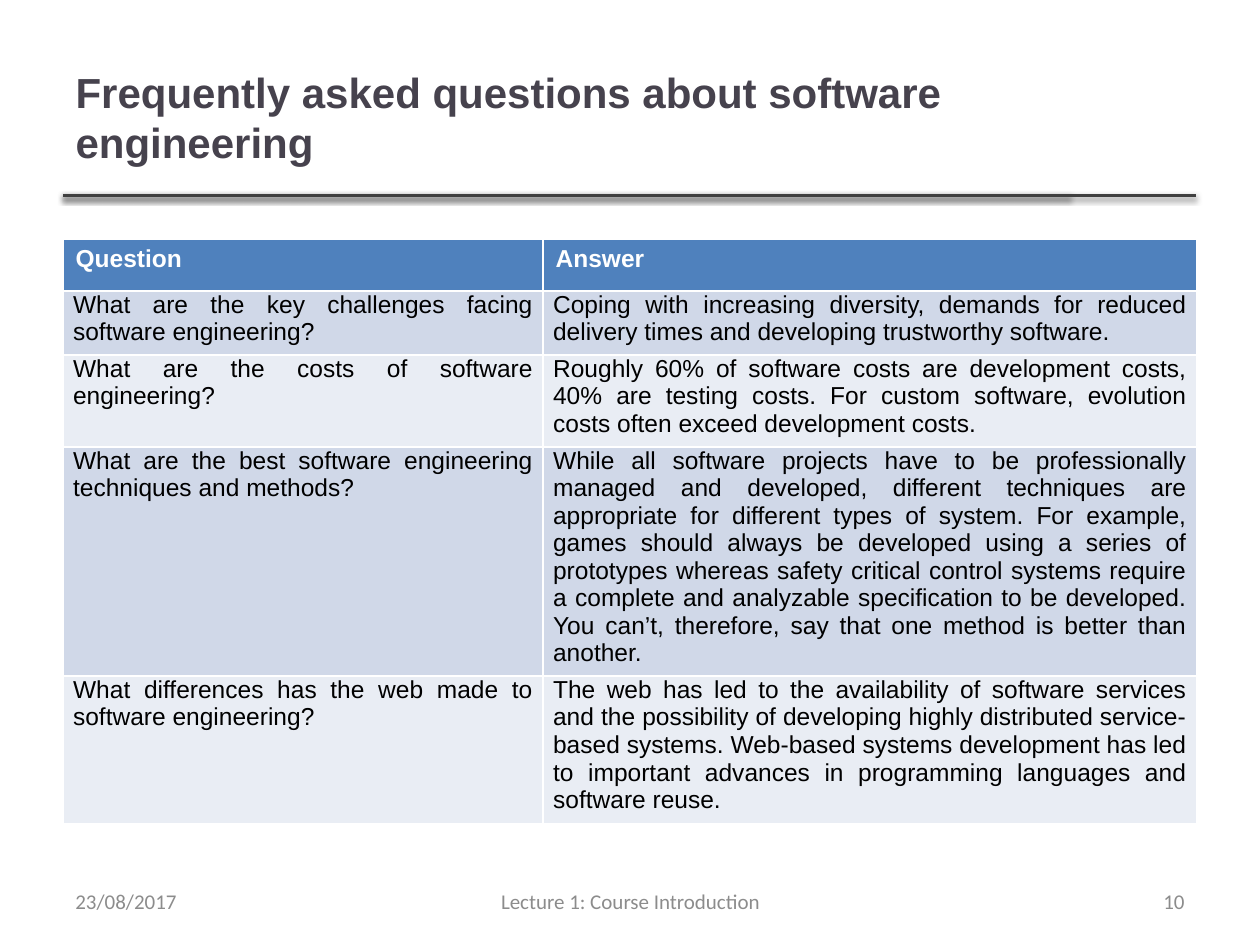
from lxml import etree
from pptx import Presentation
from pptx.dml.color import RGBColor
from pptx.enum import shapes, text
from pptx.oxml import ns
from pptx.util import Inches, Pt

TITLE = RGBColor(0x46, 0x42, 0x4D)
RULE = RGBColor(0x40, 0x40, 0x40)
HEADER = RGBColor(0x4F, 0x81, 0xBD)
BANDS = [RGBColor(0xD0, 0xD8, 0xE8), RGBColor(0xE9, 0xED, 0xF4)]
WHITE = RGBColor(0xFF, 0xFF, 0xFF)
BLACK = RGBColor(0, 0, 0)
GREY = RGBColor(0x8C, 0x8C, 0x8C)

LEFT = 0.5
ROWS = [
    ("Question", "Answer"),
    ("What are the key challenges facing software engineering?",
     "Coping with increasing diversity, demands for reduced delivery times and "
     "developing trustworthy software."),
    ("What are the costs of software engineering?",
     "Roughly 60% of software costs are development costs, 40% are testing costs. "
     "For custom software, evolution costs often exceed development costs."),
    ("What are the best software engineering techniques and methods?",
     "While all software projects have to be professionally managed and developed, "
     "different techniques are appropriate for different types of system. For example, "
     "games should always be developed using a series of prototypes whereas safety "
     "critical control systems require a complete and analyzable specification to be "
     "developed. You can’t, therefore, say that one method is better than another."),
    ("What differences has the web made to software engineering?",
     "The web has led to the availability of software services and the possibility of "
     "developing highly distributed service-based systems. Web-based systems development "
     "has led to important advances in programming languages and software reuse."),
]


def set_font(paragraph, name, size, color, bold=False):
    font = paragraph.font
    font.name, font.size, font.bold = name, Pt(size), bold
    font.color.rgb = color


deck = Presentation()
deck.slide_width, deck.slide_height = Inches(10), Inches(7.5)
page = deck.slides.add_slide(deck.slide_layouts[5])

# Two overlapping rules under the title, each with a soft shadow
for right in (8.49, 9.49):
    rule = page.shapes.add_connector(
        shapes.MSO_CONNECTOR.STRAIGHT,
        Inches(LEFT), Inches(1.55), Inches(right), Inches(1.55))
    rule.line.color.rgb = RULE
    rule.line.width = Pt(2)
    effects = etree.SubElement(rule._element.spPr, ns.qn("a:effectLst"))
    shadow = etree.SubElement(effects, ns.qn("a:outerShdw"), blurRad=str(Pt(3.1)),
                              dist=str(Pt(1.6)), dir="5400000", rotWithShape="0")
    shade = etree.SubElement(shadow, ns.qn("a:srgbClr"), val="000000")
    etree.SubElement(shade, ns.qn("a:alpha"), val="38000")

# Title
title = page.shapes.title
title.left, title.top = Inches(LEFT), Inches(0.3)
title.width, title.height = Inches(7.98), Inches(1.25)
frame = title.text_frame
frame.text = "Frequently asked questions about software engineering"
frame.auto_size = text.MSO_AUTO_SIZE.NONE
frame.vertical_anchor = text.MSO_ANCHOR.MIDDLE
frame.paragraphs[0].alignment = text.PP_ALIGN.LEFT
set_font(frame.paragraphs[0], "Arial", 24, TITLE, True)

# Question and answer table
table = page.shapes.add_table(len(ROWS), 2, Inches(LEFT), Inches(1.9),
                              Inches(9), Inches(4.63)).table
for column, width in zip(table.columns, (3.81, 5.19)):
    column.width = Inches(width)
for row, height in zip(table.rows, (0.41, 0.5, 0.73, 1.82, 1.17)):
    row.height = Inches(height)
for i, entries in enumerate(ROWS):
    for j, entry in enumerate(entries):
        cell = table.cell(i, j)
        cell.text = entry
        cell.fill.solid()
        para = cell.text_frame.paragraphs[0]
        if i == 0:
            cell.fill.fore_color.rgb = HEADER
            set_font(para, "Arial", 14, WHITE, True)
        else:
            cell.fill.fore_color.rgb = BANDS[(i - 1) % 2]
            cell.margin_left = cell.margin_right = Inches(0.08)
            cell.margin_top, cell.margin_bottom = 0, Inches(0.07)
            para.alignment = text.PP_ALIGN.JUSTIFY
            set_font(para, "Arial", 14, BLACK)

# Footer: date, lecture name, page number
for words, left, width, alignment in (
        ("23/08/2017", LEFT, 2.33, text.PP_ALIGN.LEFT),
        ("Lecture 1: Course Introduction", 3.42, 3.17, text.PP_ALIGN.CENTER),
        ("10", 7.17, 2.33, text.PP_ALIGN.RIGHT)):
    box = page.shapes.add_textbox(Inches(left), Inches(6.95), Inches(width), Inches(0.4))
    frame = box.text_frame
    frame.word_wrap = True
    frame.vertical_anchor = text.MSO_ANCHOR.MIDDLE
    frame.text = words
    frame.paragraphs[0].alignment = alignment
    set_font(frame.paragraphs[0], "Calibri", 12, GREY)

deck.save("out.pptx")
